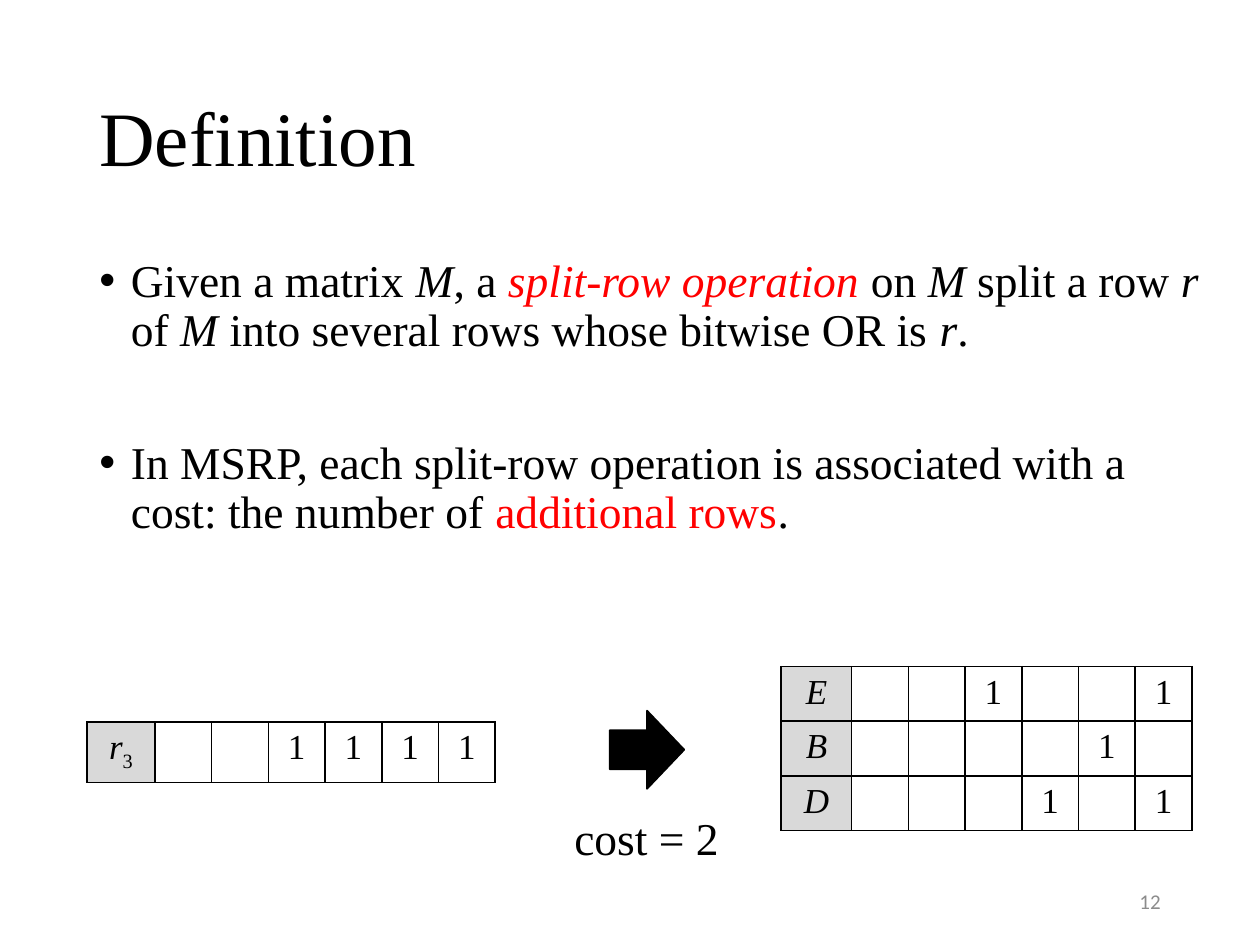
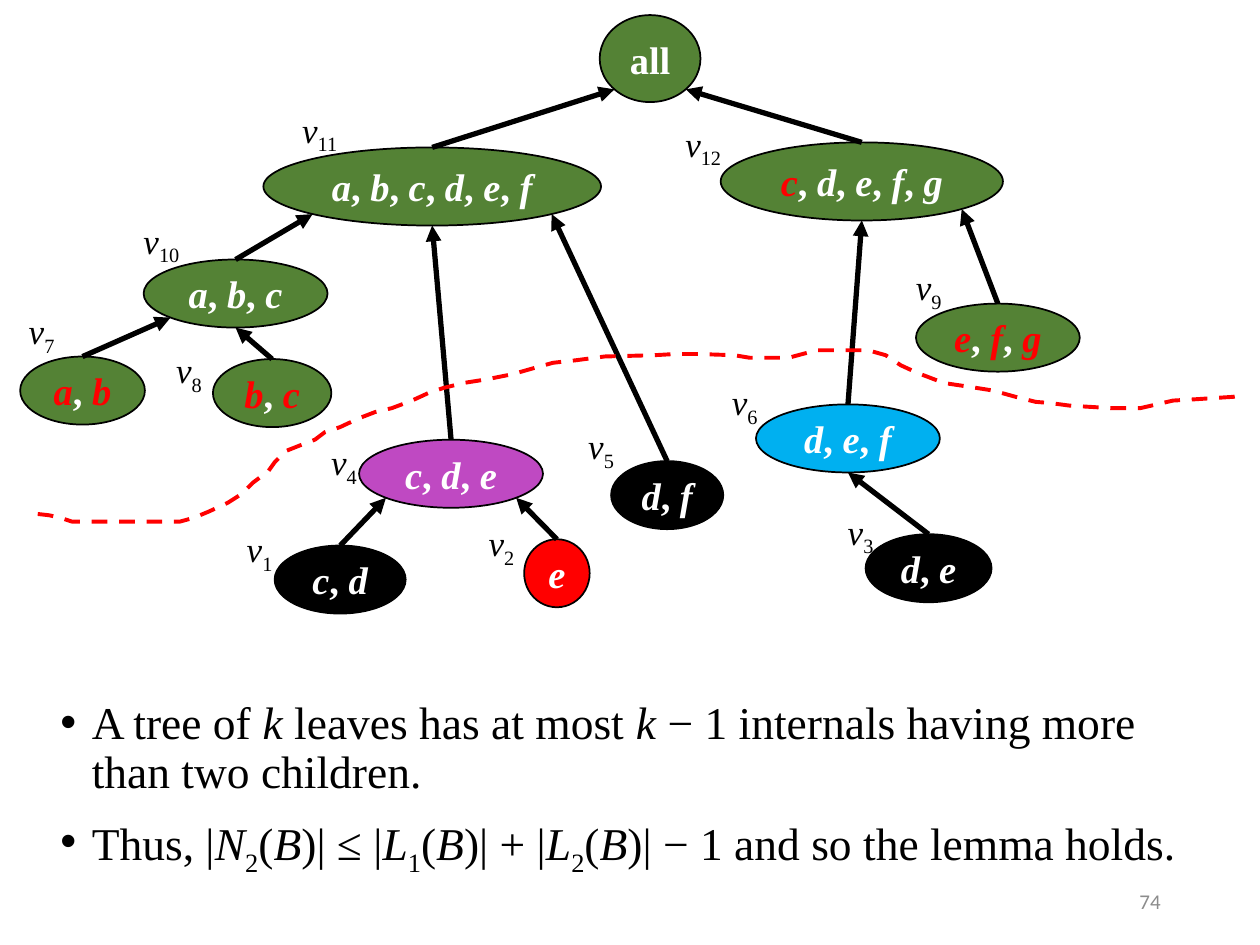
from lxml import etree
from pptx import Presentation
from pptx.dml.color import RGBColor
from pptx.enum.dml import MSO_LINE
from pptx.enum.shapes import MSO_CONNECTOR, MSO_SHAPE
from pptx.enum.text import MSO_ANCHOR, PP_ALIGN
from pptx.oxml.ns import qn
from pptx.util import Inches, Pt

BLACK = RGBColor(0x00, 0x00, 0x00)
WHITE = RGBColor(0xFF, 0xFF, 0xFF)
RED = RGBColor(0xFF, 0x00, 0x00)
GREEN = RGBColor(0x54, 0x82, 0x35)
PURPLE = RGBColor(0xBF, 0x49, 0xC2)
BLUE = RGBColor(0x00, 0xB0, 0xF0)
HEADER_GREY = RGBColor(0xD9, 0xD9, 0xD9)
NUMBER_GREY = RGBColor(0x8C, 0x8C, 0x8C)

SERIF, SANS = "Times New Roman", "Calibri"
LEFT, CENTER, RIGHT = PP_ALIGN.LEFT, PP_ALIGN.CENTER, PP_ALIGN.RIGHT
TOP, MIDDLE = MSO_ANCHOR.TOP, MSO_ANCHOR.MIDDLE
ELLIPSE, RIGHT_ARROW = MSO_SHAPE.OVAL, MSO_SHAPE.RIGHT_ARROW
STRAIGHT, DASH = MSO_CONNECTOR.STRAIGHT, MSO_LINE.DASH

ITALIC, ACCENT, SUBSCRIPT = "*", "^", "~"
BOTTOM = (0.5, 1)
LOWER_LEFT = (0.146, 0.854)
LOWER_RIGHT = (0.854, 0.854)


def split_markup(markup):
    active, text = set(), ""
    for char in markup:
        if char in (ITALIC, ACCENT, SUBSCRIPT):
            if text:
                yield text, set(active)
            active ^= {char}
            text = ""
        else:
            text += char
    if text:
        yield text, active


class Deck:
    def __init__(self):
        self.presentation = Presentation()
        self.presentation.slide_width = Inches(10)
        self.presentation.slide_height = Inches(7.5)
        self.slide = None

    def new_slide(self, number):
        blank = self.presentation.slide_layouts[6]
        self.slide = self.presentation.slides.add_slide(blank)
        self.text((7.06, 6.95, 2.25, 0.4), str(number), 12, font=SANS,
                  color=NUMBER_GREY, align=RIGHT, anchor=MIDDLE)

    def set_text(self, paragraph, markup, size, font=SERIF, color=BLACK,
                 align=LEFT, bold=False):
        paragraph.alignment = align
        paragraph.font.name = font
        paragraph.font.size = Pt(size)
        paragraph.font.color.rgb = color
        paragraph.font.bold = bold
        for text, marks in split_markup(markup):
            run = paragraph.add_run()
            run.text = text
            if ITALIC in marks:
                run.font.italic = True
            if ACCENT in marks:
                run.font.color.rgb = RED
            if SUBSCRIPT in marks:
                run.font._element.set("baseline", "-25000")

    def frame(self, box, wrap=True, anchor=TOP):
        frame = self.slide.shapes.add_textbox(*map(Inches, box)).text_frame
        frame.word_wrap = wrap
        frame.vertical_anchor = anchor
        return frame

    def text(self, box, markup, size, wrap=True, anchor=TOP, **style):
        frame = self.frame(box, wrap, anchor)
        self.set_text(frame.paragraphs[0], markup, size, **style)
        return frame.paragraphs[0]

    def title(self, markup):
        heading = self.text((0.69, 0.4, 8.62, 1.45), markup, 44, anchor=MIDDLE)
        heading.line_spacing = 0.9

    def bullets(self, box, items, gap=10):
        frame = self.frame(box)
        for index, item in enumerate(items):
            paragraph = frame.add_paragraph() if index else frame.paragraphs[0]
            self.set_text(paragraph, item, 26)
            paragraph.line_spacing = 0.9
            paragraph.space_before = Pt(gap if index else 10)
            properties = paragraph._p.get_or_add_pPr()
            properties.set("marL", str(Inches(0.25)))
            properties.set("indent", str(-Inches(0.25)))
            marker_font = etree.Element(qn("a:buFont"), typeface="Arial")
            marker = etree.Element(qn("a:buChar"), char="\u2022")
            defaults = properties.find(qn("a:defRPr"))
            defaults.addprevious(marker_font)
            defaults.addprevious(marker)

    def shape(self, kind, box, fill):
        shape = self.slide.shapes.add_shape(kind, *map(Inches, box))
        shape.shadow.inherit = False
        shape.fill.solid()
        shape.fill.fore_color.rgb = fill
        shape.line.color.rgb = BLACK
        shape.line.width = Pt(1)
        return shape

    def node(self, box, items, fill, accented=""):
        ellipse = self.shape(ELLIPSE, box, fill)
        parts = [f"*{item}*" if len(item) == 1 else item for item in items]
        parts = [f"^{part}^" if item in accented else part
                 for item, part in zip(items, parts)]
        frame = ellipse.text_frame
        frame.margin_left = frame.margin_right = 0
        frame.vertical_anchor = MIDDLE
        self.set_text(frame.paragraphs[0], ", ".join(parts), 22, color=WHITE,
                      align=CENTER, bold=True)
        return ellipse

    def edge(self, child, parent, site):
        across, down = site
        line = self.slide.shapes.add_connector(
            STRAIGHT, child.left + child.width // 2, child.top,
            round(parent.left + across * parent.width),
            round(parent.top + down * parent.height))
        line.line.color.rgb = BLACK
        line.line.width = Pt(3)
        etree.SubElement(line.line._get_or_add_ln(), qn("a:tailEnd"), type="triangle")
        etree.SubElement(line._element.spPr, qn("a:effectLst"))

    def dashed_path(self, points):
        start, *rest = [tuple(map(Inches, point)) for point in points]
        builder = self.slide.shapes.build_freeform(*start)
        builder.add_line_segments(rest, close=False)
        path = builder.convert_to_shape()
        path.shadow.inherit = False
        path.fill.background()
        path.line.color.rgb = RED
        path.line.width = Pt(2.25)
        path.line.dash_style = DASH

    def border(self, cell):
        properties = cell._tc.get_or_add_tcPr()
        for side in ("lnL", "lnR", "lnT", "lnB"):
            line = etree.SubElement(properties, qn(f"a:{side}"), w=str(Pt(1)))
            fill = etree.SubElement(line, qn("a:solidFill"))
            etree.SubElement(fill, qn("a:srgbClr"), val=str(BLACK))

    def matrix(self, left, top, header_width, row_height, rows):
        columns = len(rows[0][1]) + 1
        width = header_width + 0.45 * (columns - 1)
        table = self.slide.shapes.add_table(
            len(rows), columns, Inches(left), Inches(top), Inches(width),
            Inches(row_height * len(rows))).table
        table.first_row = table.horz_banding = False
        for index, column in enumerate(table.columns):
            column.width = Inches(0.45 if index else header_width)
        for r, (name, bits) in enumerate(rows):
            table.rows[r].height = Inches(row_height)
            for c, value in enumerate([name, *bits]):
                cell = table.cell(r, c)
                self.border(cell)
                if c:
                    cell.fill.background()
                else:
                    cell.fill.solid()
                    cell.fill.fore_color.rgb = HEADER_GREY
                self.set_text(cell.text_frame.paragraphs[0], value.strip(), 20,
                              align=CENTER)


deck = Deck()

deck.new_slide(12)
deck.title("Definition")
deck.bullets((0.69, 2, 8.99, 4.95), [
    "Given a matrix *M*, a ^*split-row operation*^ on *M* split a row *r* of *M *"
    "into several rows whose bitwise OR is *r*.",
    "In MSRP, each split-row operation is associated with a cost: "
    "the number of ^additional rows^.",
], gap=48)
deck.matrix(0.69, 5.73, 0.54, 0.43, [("*r*~3~", "  1111")])
deck.shape(RIGHT_ARROW, (4.84, 5.64, 0.59, 0.62), BLACK)
deck.matrix(6.2, 5.29, 0.56, 0.41, [
    ("*E*", "  1  1"),
    ("*B*", "    1 "),
    ("*D*", "   1 1"),
])
deck.text((4.46, 6.38, 1.36, 0.54), "cost = 2", 26, wrap=False)

deck.new_slide(74)
TREE = {
    "root": ((4.76, 0.12, 0.8, 0.69), ["all"], GREEN, ""),
    "11": ((2.09, 1.17, 2.68, 0.62), "abcdef", GREEN, ""),
    "12": ((5.72, 1.13, 2.24, 0.62), "cdefg", GREEN, "c"),
    "10": ((1.14, 2.06, 1.46, 0.54), "abc", GREEN, ""),
    "7": ((0.16, 2.83, 0.99, 0.54), "ab", GREEN, "ab"),
    "8": ((1.69, 2.85, 0.94, 0.54), "bc", GREEN, "bc"),
    "9": ((7.27, 2.41, 1.3, 0.54), "efg", GREEN, "efg"),
    "4": ((2.85, 3.49, 1.46, 0.54), "cde", PURPLE, ""),
    "5": ((4.85, 3.66, 0.89, 0.54), "df", BLACK, ""),
    "6": ((6, 3.21, 1.46, 0.54), "def", BLUE, ""),
    "1": ((2.18, 4.33, 1.04, 0.54), "cd", BLACK, ""),
    "2": ((4.16, 4.28, 0.52, 0.54), "e", RED, ""),
    "3": ((6.87, 4.24, 1, 0.54), "de", BLACK, ""),
}
EDGES = [
    ("11", "root", LOWER_LEFT), ("12", "root", LOWER_RIGHT),
    ("10", "11", LOWER_LEFT), ("4", "11", BOTTOM), ("5", "11", LOWER_RIGHT),
    ("6", "12", BOTTOM), ("9", "12", LOWER_RIGHT),
    ("7", "10", LOWER_LEFT), ("8", "10", BOTTOM),
    ("1", "4", LOWER_LEFT), ("2", "4", LOWER_RIGHT), ("3", "6", BOTTOM),
]
NODE_LABELS = {
    "1": (1.86, 4.14, 0.47), "2": (3.78, 4.09, 0.43), "3": (6.63, 4, 0.47),
    "4": (2.53, 3.45, 0.47), "5": (4.57, 3.32, 0.42), "6": (5.71, 2.97, 0.47),
    "7": (0.13, 2.41, 0.43), "8": (1.3, 2.72, 0.43), "9": (7.17, 2.06, 0.47),
    "10": (1.04, 1.69, 0.51), "11": (2.3, 0.81, 0.56), "12": (5.34, 0.92, 0.51),
}
FRONTIER = [
    (0.3, 4.08), (0.39, 4.09), (0.48, 4.11), (0.57, 4.14), (0.91, 4.14),
    (1.43, 4.14), (1.54, 4.11), (1.66, 4.06), (1.81, 3.99), (1.92, 3.92),
    (2.01, 3.83), (2.13, 3.74), (2.18, 3.67), (2.27, 3.58), (2.37, 3.54),
    (2.5, 3.49), (2.58, 3.43), (2.7, 3.39), (2.85, 3.32), (2.98, 3.27),
    (3.11, 3.24), (3.27, 3.18), (3.4, 3.12), (3.52, 3.08), (3.68, 3.04),
    (3.87, 3.01), (4.07, 2.97), (4.21, 2.93), (4.39, 2.88), (4.57, 2.86),
    (4.8, 2.83), (5.19, 2.82), (5.36, 2.81), (5.54, 2.81), (5.83, 2.82),
    (5.95, 2.84), (6.26, 2.84), (6.37, 2.81), (6.49, 2.78), (6.66, 2.78),
    (6.89, 2.78), (7.03, 2.82), (7.15, 2.9), (7.28, 2.96), (7.36, 2.99),
    (7.49, 3.04), (7.69, 3.07), (7.88, 3.1), (8.06, 3.15), (8.22, 3.19),
    (8.34, 3.2), (8.49, 3.22), (8.82, 3.24), (9.05, 3.24), (9.18, 3.21),
    (9.31, 3.18), (9.48, 3.17), (9.79, 3.15), (9.84, 3.14),
]
nodes = {name: deck.node(*details) for name, details in TREE.items()}
for child, parent, site in EDGES:
    deck.edge(nodes[child], nodes[parent], site)
for name, (left, top, width) in NODE_LABELS.items():
    deck.text((left, top, width, 0.44), f"*v*~{name}~", 20, wrap=False)
deck.dashed_path(FRONTIER)
deck.bullets((0.38, 5.51, 9.21, 1.57), [
    "A tree of *k* leaves has at most *k *\u2212 1 internals having more than "
    "two children.",
    "Thus, |*N*~2~(*B*)| \u2264 |*L*~1~(*B*)| + |*L*~2~(*B*)| \u2212 1 "
    "and so the lemma holds.",
])

deck.presentation.save("out.pptx")
